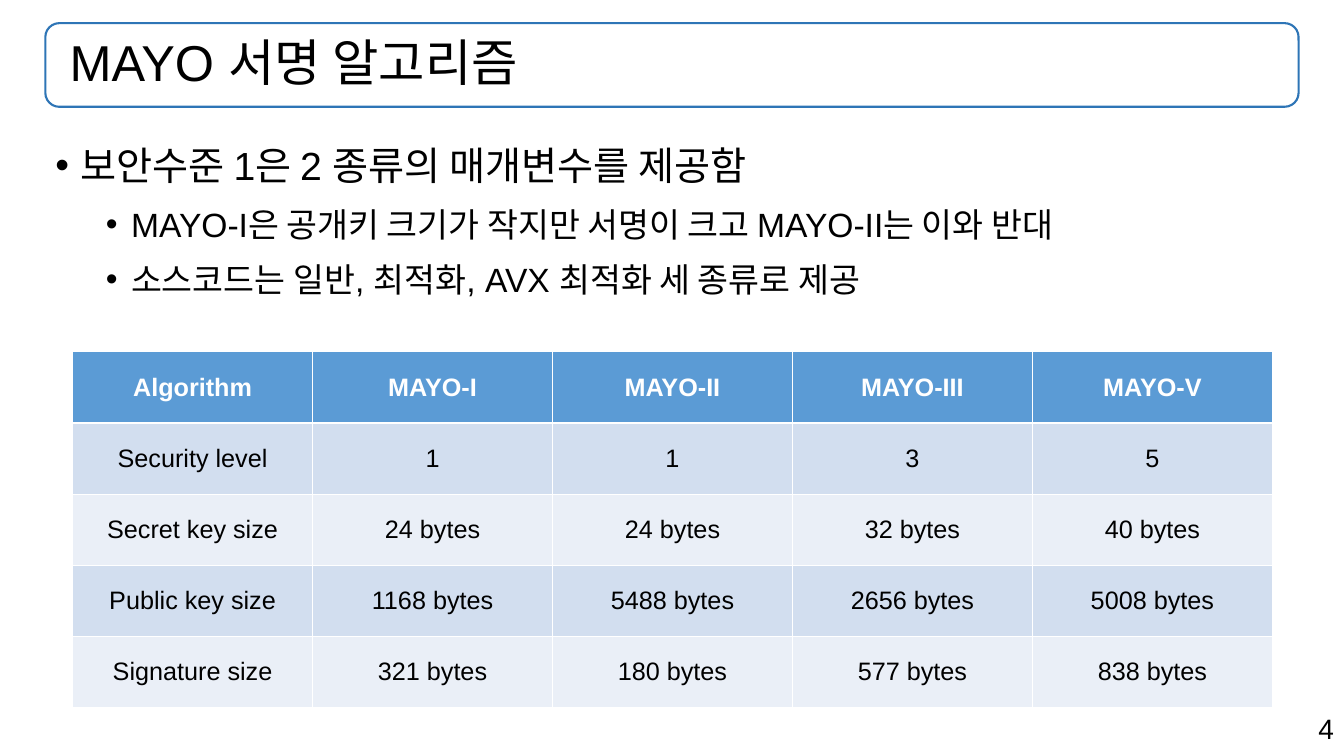
"""Builds the slide on the parameters of the MAYO signature algorithm."""
from dataclasses import dataclass
from typing import Any

from lxml import etree
from pptx import Presentation
from pptx.dml.color import RGBColor
from pptx.enum.shapes import MSO_SHAPE
from pptx.enum.text import MSO_ANCHOR, MSO_AUTO_SIZE, PP_ALIGN
from pptx.oxml.ns import qn
from pptx.util import Inches, Pt

ROUNDED = MSO_SHAPE.ROUNDED_RECTANGLE
LEFT, CENTER, RIGHT = PP_ALIGN.LEFT, PP_ALIGN.CENTER, PP_ALIGN.RIGHT
TOP, MIDDLE = MSO_ANCHOR.TOP, MSO_ANCHOR.MIDDLE
NO_FIT = MSO_AUTO_SIZE.NONE

FONT = "Arial"
COLORS = {
    "text": "000000",
    "frame": "2E75B6",
    "header": "5B9BD5",
    "header text": "FFFFFF",
    "odd row": "D2DEEF",
    "even row": "EAEFF7",
}
TITLE_AREA = (0.45, 0.23, 12.43, 0.83)
BODY_AREA = (0.45, 1.26, 12.43, 6.13)
TABLE_AREA = (0.72, 3.49, 11.9, 3.53)
NUMBER_AREA = (9.43, 7.01, 3.9, 0.44)
ROWS = [
    ("Algorithm", "MAYO-I", "MAYO-II", "MAYO-III", "MAYO-V"),
    ("Security level", "1", "1", "3", "5"),
    ("Secret key size", "24 bytes", "24 bytes", "32 bytes", "40 bytes"),
    ("Public key size", "1168 bytes", "5488 bytes", "2656 bytes", "5008 bytes"),
    ("Signature size", "321 bytes", "180 bytes", "577 bytes", "838 bytes"),
]


@dataclass
class Bullet:
    """One line of the list."""

    text: str
    level: int
    size: int
    indent: float
    space_before: int


BULLETS = [
    Bullet("보안수준 1은 2 종류의 매개변수를 제공함", 0, 28, 0.25, 0),
    Bullet("MAYO-I은 공개키 크기가 작지만 서명이 크고 MAYO-II는 이와 반대", 1, 24, 0.75, 5),
    Bullet("소스코드는 일반, 최적화, AVX 최적화 세 종류로 제공", 1, 24, 0.75, 5),
]


def apply(target: Any, values: dict[str, Any]) -> None:
    """Set each named attribute of the target."""
    for name, value in values.items():
        setattr(target, name, value)


def color(name: str) -> RGBColor:
    """Look up a colour by its role."""
    return RGBColor.from_string(COLORS[name])


def place(box: Any, area: tuple[float, ...]) -> None:
    """Move and size a box."""
    apply(box, dict(zip(("left", "top", "width", "height"), map(Inches, area))))


def write(para: Any, text: str, size: int, role: str = "text", bold: bool = False,
          **layout: Any) -> None:
    """Fill a paragraph with one formatted span."""
    apply(para, layout)
    span = para.add_run()
    span.text = text
    apply(span.font, {"name": FONT, "size": Pt(size), "bold": bold})
    span.font.color.rgb = color(role)


def add_title(page: Any) -> None:
    """Place the title in its rounded frame."""
    frame = page.shapes.add_shape(ROUNDED, *map(Inches, TITLE_AREA))
    frame.shadow.inherit = False
    frame.fill.background()
    frame.line.color.rgb = color("frame")
    frame.line.width = Pt(1.5)
    title = page.shapes.title
    title._element.addprevious(frame._element)
    place(title, TITLE_AREA)
    apply(title.text_frame, {"vertical_anchor": MIDDLE, "auto_size": NO_FIT,
                             "margin_left": Inches(0.24)})
    write(title.text_frame.paragraphs[0], "MAYO 서명 알고리즘", 36,
          alignment=LEFT, line_spacing=0.9)


def add_bullets(page: Any, bullets: list[Bullet]) -> None:
    """Fill the body with the list."""
    body = page.placeholders[1]
    place(body, BODY_AREA)
    frame = body.text_frame
    apply(frame, {"vertical_anchor": TOP, "auto_size": NO_FIT})
    for index, bullet in enumerate(bullets):
        para = frame.add_paragraph() if index else frame.paragraphs[0]
        properties = para._p.get_or_add_pPr()
        properties.set("marL", str(Inches(bullet.indent)))
        properties.set("indent", str(Inches(-0.25)))
        etree.SubElement(properties, qn("a:buFont"), typeface=FONT)
        etree.SubElement(properties, qn("a:buChar"), char="•")
        write(para, bullet.text, bullet.size, level=bullet.level,
              line_spacing=1.2, space_before=Pt(bullet.space_before))


def add_parameters(page: Any, rows: list[tuple[str, ...]]) -> None:
    """Draw the table of parameter sets."""
    table = page.shapes.add_table(len(rows), len(rows[0]),
                                  *map(Inches, TABLE_AREA)).table
    margins = {"margin_left": Inches(0.13), "margin_right": Inches(0.13),
               "margin_top": Inches(0.07), "margin_bottom": Inches(0.07)}
    for row, texts in enumerate(rows):
        header = row == 0
        fill = "header" if header else "odd row" if row % 2 else "even row"
        for column, text in enumerate(texts):
            cell = table.cell(row, column)
            apply(cell, {"vertical_anchor": MIDDLE, **margins})
            cell.fill.solid()
            cell.fill.fore_color.rgb = color(fill)
            write(cell.text_frame.paragraphs[0], text, 18,
                  "header text" if header else "text", header, alignment=CENTER)


def add_number(page: Any, number: str) -> None:
    """Put the page number in the corner."""
    box = page.shapes.add_textbox(*map(Inches, NUMBER_AREA))
    box.text_frame.word_wrap = True
    write(box.text_frame.paragraphs[0], number, 20, alignment=RIGHT)


def main() -> None:
    """Build and save the deck."""
    deck = Presentation()
    apply(deck, {"slide_width": Inches(13.33), "slide_height": Inches(7.5)})
    page = deck.slides.add_slide(deck.slide_layouts[1])
    add_title(page)
    add_bullets(page, BULLETS)
    add_parameters(page, ROWS)
    add_number(page, "4")
    deck.save("out.pptx")


if __name__ == "__main__":
    main()
